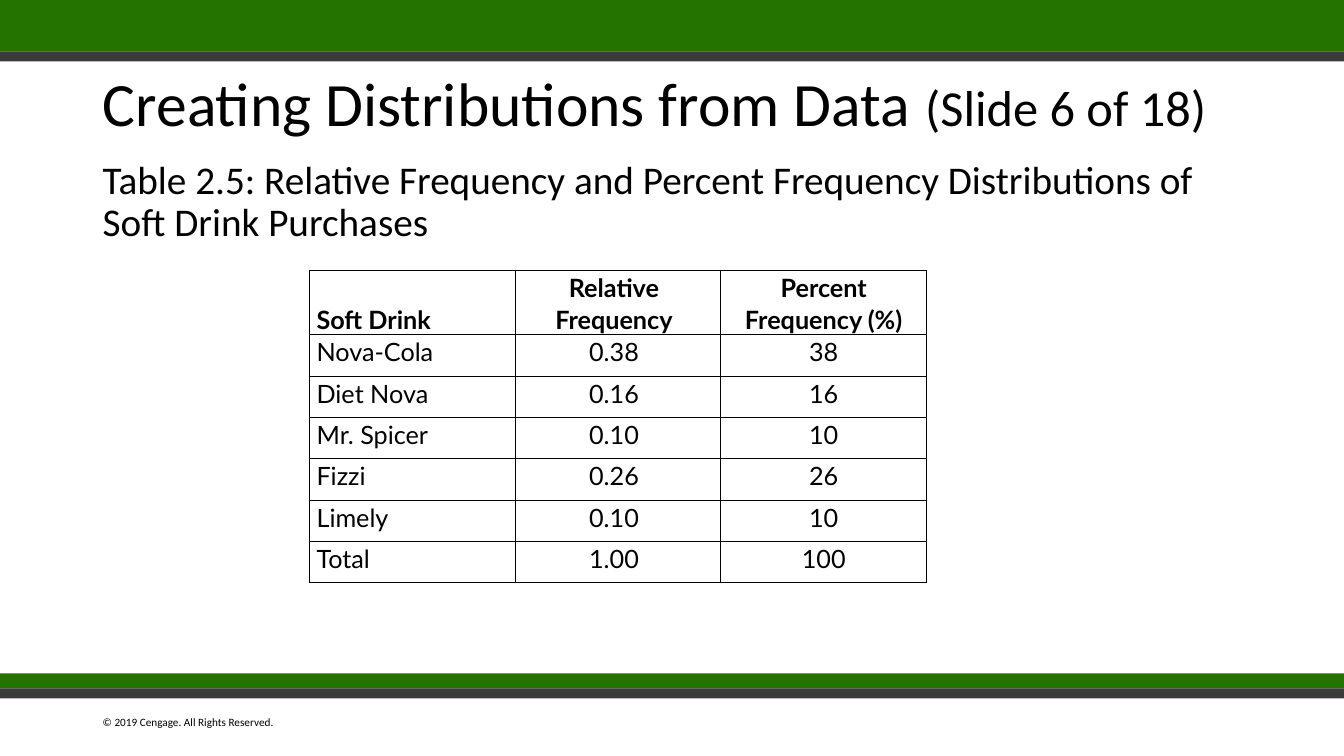
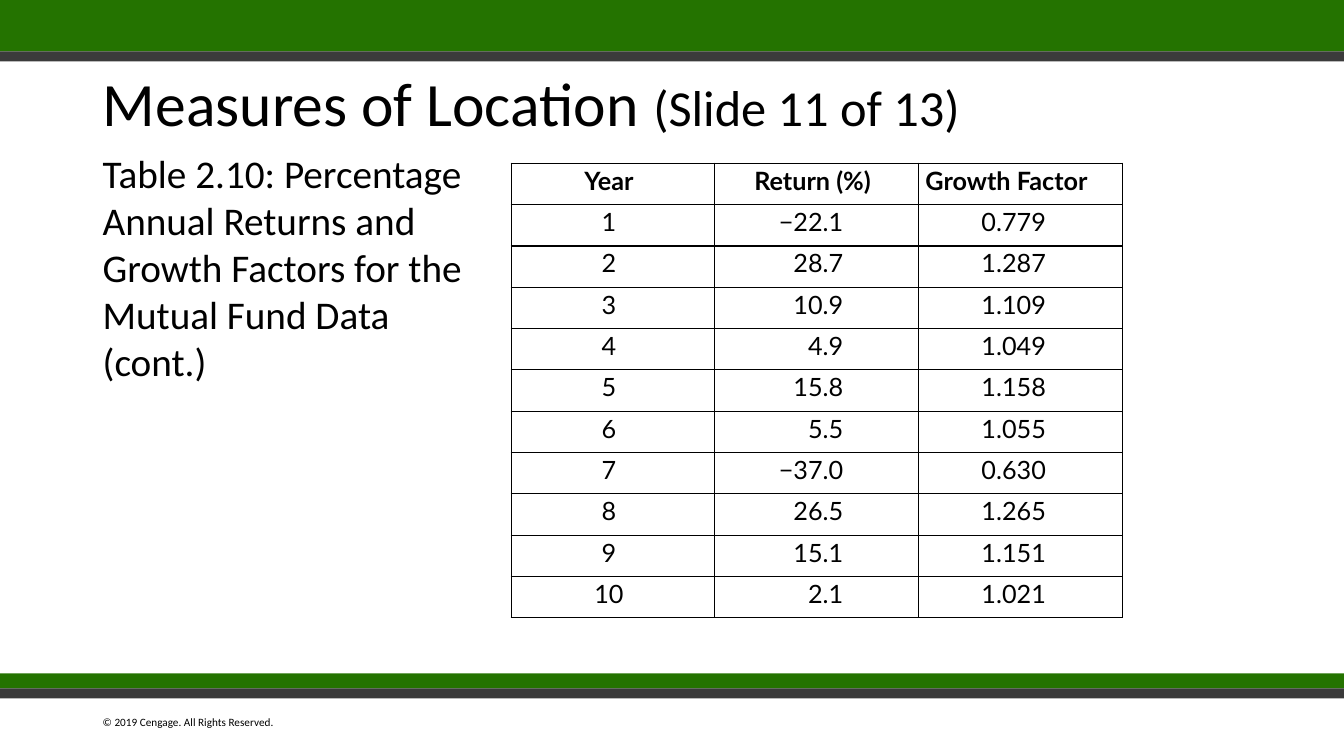
from dataclasses import dataclass

from pptx import Presentation
from pptx.dml.color import RGBColor
from pptx.enum.shapes import MSO_SHAPE
from pptx.enum.text import MSO_ANCHOR, PP_ALIGN
from pptx.oxml import parse_xml
from pptx.oxml.ns import nsdecls
from pptx.util import Inches, Pt


@dataclass(frozen=True)
class Theme:
    green: str = "247300"
    gray: str = "3B3B3B"
    dark_gray: str = "3A3A3A"
    text: str = "000000"
    font: str = "Calibri"
    table_font: str = "Lato"
    title_size: int = 44
    counter_size: int = 36
    body_size: int = 28
    table_size: int = 18
    footer_size: int = 8
    border_width: int = 1


THEME = Theme()
SLIDE_W, SLIDE_H = 13.33, 7.5
LEFT, CONTENT_W = 0.92, 11.5
ROW_H = 0.41
CELL_INSET = 0.07

BANDS = [  # top, height, colour
    (0, 0.51, THEME.green),
    (0.51, 0.1, THEME.gray),
    (6.68, 0.15, THEME.green),
    (6.83, 0.1, THEME.dark_gray),
]

DRINKS = [
    ("Soft Drink", "Relative Frequency", "Percent Frequency (%)"),
    ("Nova-Cola", "0.38", "38"),
    ("Diet Nova", "0.16", "16"),
    ("Mr. Spicer", "0.10", "10"),
    ("Fizzi", "0.26", "26"),
    ("Limely", "0.10", "10"),
    ("Total", "1.00", "100"),
]

RETURNS = [
    ("Year", "Return (%)", "Growth Factor"),
    ("1", "−22.1", "0.779"),
    ("2", "28.7", "1.287"),
    ("3", "10.9", "1.109"),
    ("4", "4.9", "1.049"),
    ("5", "15.8", "1.158"),
    ("6", "5.5", "1.055"),
    ("7", "−37.0", "0.630"),
    ("8", "26.5", "1.265"),
    ("9", "15.1", "1.151"),
    ("10", "2.1", "1.021"),
]


@dataclass(frozen=True)
class Column:
    align: PP_ALIGN = PP_ALIGN.LEFT
    header_align: PP_ALIGN = PP_ALIGN.LEFT
    right_inset: float = CELL_INSET
    tabs: tuple = ()


CENTER = PP_ALIGN.CENTER
LABEL = Column()
CENTERED = Column(CENTER, CENTER)
CENTERED_NARROW = Column(CENTER, CENTER, right_inset=0.15)
RETURN = Column(header_align=CENTER, right_inset=0.15, tabs=(1,))
GROWTH = Column(tabs=(0.7, 1))


def add_text(p, text, size, font=THEME.font, bold=False, align=PP_ALIGN.LEFT,
             line_spacing=None):
    """Append a formatted run to paragraph p."""
    p.alignment = align
    if line_spacing:
        p.line_spacing = line_spacing
    r = p.add_run()
    r.text = text
    r.font.size = Pt(size)
    r.font.name = font
    r.font.bold = bold
    r.font.color.rgb = RGBColor.from_string(THEME.text)


def add_text_box(s, left, top, width, height, text, size, line_spacing=None):
    box = s.shapes.add_textbox(*map(Inches, (left, top, width, height)))
    box.text_frame.word_wrap = True
    add_text(box.text_frame.paragraphs[0], text, size,
             line_spacing=line_spacing)
    return box


def add_band(s, top, height, color):
    band = s.shapes.add_shape(MSO_SHAPE.RECTANGLE, 0, Inches(top),
                              Inches(SLIDE_W), Inches(height))
    band.shadow.inherit = False
    band.fill.solid()
    band.fill.fore_color.rgb = RGBColor.from_string(color)
    band.line.fill.background()
    return band


def furnish_layout(s, layout):
    """Draw the bands and footer on s, then hand them to its layout."""
    shared = [add_band(s, *band) for band in BANDS]
    shared.append(add_text_box(s, LEFT, 7.05, 2, 0.23,
                               "© 2019 Cengage. All Rights Reserved.",
                               THEME.footer_size))
    for shape in shared:
        layout.shapes.element.append(shape.element)


def set_title(s, text, counter):
    title = s.shapes.title
    title.left, title.top = Inches(LEFT), Inches(0.68)
    title.width, title.height = Inches(CONTENT_W), Inches(1.15)
    tf = title.text_frame
    tf.word_wrap = True
    tf.vertical_anchor = MSO_ANCHOR.TOP
    p = tf.paragraphs[0]
    add_text(p, text + " ", THEME.title_size, line_spacing=0.9)
    add_text(p, counter, THEME.counter_size, line_spacing=0.9)


def set_borders(cell):
    tc_pr = cell._tc.get_or_add_tcPr()
    for side in "LRTB":
        tc_pr.append(parse_xml(
            f'<a:ln{side} {nsdecls("a")} w="{Pt(THEME.border_width)}">'
            f'<a:solidFill><a:srgbClr val="{THEME.text}"/></a:solidFill>'
            f'</a:ln{side}>'))


def set_decimal_tabs(p, positions):
    stops = "".join(f'<a:tab pos="{Inches(pos)}" algn="dec"/>'
                    for pos in positions)
    p._p.get_or_add_pPr().append(
        parse_xml(f'<a:tabLst {nsdecls("a")}>{stops}</a:tabLst>'))


def fill_cell(cell, text, column, header, anchor):
    cell.margin_left = Inches(CELL_INSET)
    cell.margin_right = Inches(column.right_inset)
    cell.margin_top = cell.margin_bottom = 0
    cell.vertical_anchor = anchor
    set_borders(cell)
    cell.fill.background()
    p = cell.text_frame.paragraphs[0]
    if column.tabs and not header:
        set_decimal_tabs(p, column.tabs)
        add_text(p, "\t", THEME.table_size)
    add_text(p, text, THEME.table_size, font=THEME.table_font, bold=header,
             align=column.header_align if header else column.align,
             line_spacing=1.07)


def add_data_table(s, rows, columns, left, top, col_w, header_h=ROW_H,
                   header_anchor=MSO_ANCHOR.TOP):
    height = header_h + ROW_H * (len(rows) - 1)
    table = s.shapes.add_table(
        len(rows), len(columns), Inches(left), Inches(top),
        Inches(col_w * len(columns)), Inches(height)).table
    table.first_row = table.horz_banding = False
    for col in table.columns:
        col.width = Inches(col_w)
    for i, row in enumerate(rows):
        header = i == 0
        table.rows[i].height = Inches(header_h if header else ROW_H)
        for j, (text, column) in enumerate(zip(row, columns)):
            fill_cell(table.cell(i, j), text, column, header,
                      header_anchor if header else MSO_ANCHOR.TOP)


def add_drinks_slide(s):
    set_title(s, "Creating Distributions from Data", "(Slide 6 of 18)")
    add_text_box(s, LEFT, 1.54, CONTENT_W, 1,
                 "Table 2.5: Relative Frequency and Percent Frequency "
                 "Distributions of Soft Drink Purchases",
                 THEME.body_size, line_spacing=0.9)
    add_data_table(s, DRINKS, (LABEL, CENTERED_NARROW, CENTERED),
                   3.07, 2.68, 2.04, header_h=0.63,
                   header_anchor=MSO_ANCHOR.BOTTOM)


def add_returns_slide(s):
    set_title(s, "Measures of Location", "(Slide 11 of 13)")
    add_text_box(s, LEFT, 1.43, 3.87, 2.45,
                 "Table 2.10: Percentage Annual Returns and Growth Factors "
                 "for the Mutual Fund Data (cont.)", THEME.body_size)
    add_data_table(s, RETURNS, (CENTERED_NARROW, RETURN, GROWTH),
                   5.07, 1.62, 2.02)


def main():
    prs = Presentation()
    prs.slide_width, prs.slide_height = Inches(SLIDE_W), Inches(SLIDE_H)
    layout = prs.slide_layouts.get_by_name("Title Only")
    slides = [prs.slides.add_slide(layout) for _ in range(2)]
    furnish_layout(slides[0], layout)
    add_drinks_slide(slides[0])
    add_returns_slide(slides[1])
    prs.save("out.pptx")


if __name__ == "__main__":
    main()
